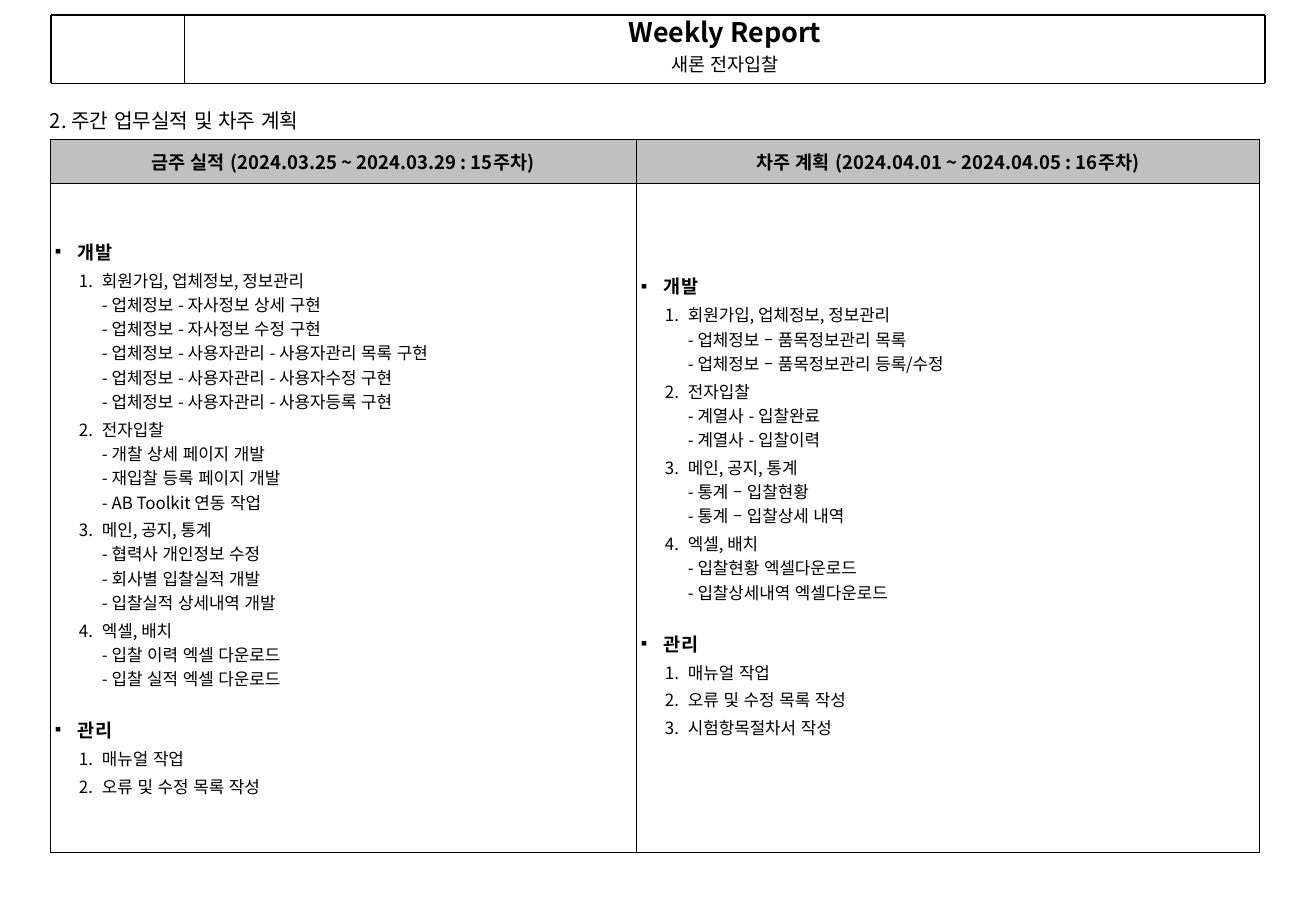
from copy import deepcopy
from lxml.etree import SubElement as Sub
from pptx import Presentation
from pptx.dml.color import RGBColor as Rgb
from pptx.enum.lang import MSO_LANGUAGE_ID as Lang
from pptx.enum.text import MSO_ANCHOR as Anchor, MSO_AUTO_SIZE as Auto, PP_ALIGN as Align
from pptx.oxml.ns import qn
from pptx.util import Emu, Inches, Pt

SCALE = 914400 / 121.4
FONT = "Noto Sans CJK KR"
COLORS = {"ink": "000000", "head": "C0C0C0", "paper": "FFFFFF"}

HEADS = [
    "금주 실적 (2024.03.25 ~ 2024.03.29 : 15주차)",
    "차주 계획 (2024.04.01 ~ 2024.04.05 : 16주차)",
]
DONE = {
    "개발": [
        "회원가입, 업체정보, 정보관리\n- 업체정보 - 자사정보 상세 구현\n"
        "- 업체정보 - 자사정보 수정 구현\n"
        "- 업체정보 - 사용자관리 - 사용자관리 목록 구현\n"
        "- 업체정보 - 사용자관리 - 사용자수정 구현\n"
        "- 업체정보 - 사용자관리 - 사용자등록 구현",
        "전자입찰\n- 개찰 상세 페이지 개발\n- 재입찰 등록 페이지 개발\n"
        "- AB Toolkit 연동 작업",
        "메인, 공지, 통계\n- 협력사 개인정보 수정\n- 회사별 입찰실적 개발\n"
        "- 입찰실적 상세내역 개발",
        "엑셀, 배치\n- 입찰 이력 엑셀 다운로드\n- 입찰 실적 엑셀 다운로드",
    ],
    "관리": ["매뉴얼 작업", "오류 및 수정 목록 작성"],
}
PLAN = {
    "개발": [
        "회원가입, 업체정보, 정보관리\n- 업체정보 – 품목정보관리 목록\n"
        "- 업체정보 – 품목정보관리 등록/수정",
        "전자입찰\n- 계열사 - 입찰완료\n- 계열사 - 입찰이력",
        "메인, 공지, 통계\n- 통계 – 입찰현황\n- 통계 – 입찰상세 내역",
        "엑셀, 배치\n- 입찰현황 엑셀다운로드\n- 입찰상세내역 엑셀다운로드",
    ],
    "관리": ["매뉴얼 작업", "오류 및 수정 목록 작성", "시험항목절차서 작성"],
}


def px(n):
    return Emu(round(n * SCALE))


def tint(name):
    return Rgb.from_string(COLORS[name])


def write(frame, text, first=False, size=10, bold=False, align=Align.LEFT,
          before=0, after=0, level=0, mark=None):
    para = frame.paragraphs[0] if first else frame.add_paragraph()
    para.text = text
    para.alignment = align
    para.level = level
    para.line_spacing = 1.0
    para.space_before, para.space_after = Pt(before), Pt(after)
    for run in para.runs:
        font = run.font
        font.size, font.bold, font.name = Pt(size), bold, FONT
        font.language_id = Lang.KOREAN
        font.color.rgb = tint("ink")
        Sub(font._element, qn("a:ea"), typeface=FONT)
    for gap in para._p.findall(qn("a:br")):
        gap.insert(0, deepcopy(para.runs[0].font._element))
    if mark:
        bullet(para, mark)


def bullet(para, mark):
    props = para._p.get_or_add_pPr()
    props.set("marL", str(px(23 if para.level == 0 else 47)))
    props.set("indent", str(-px(23)))
    color = Sub(props, qn("a:buClr"))
    Sub(color, qn("a:srgbClr"), val=COLORS["ink"])
    if mark == "number":
        Sub(props, qn("a:buFont"), typeface=FONT)
        Sub(props, qn("a:buAutoNum"), type="arabicPeriod")
    else:
        Sub(props, qn("a:buFont"), typeface="Arial")
        Sub(props, qn("a:buChar"), char=mark)


def place(shape, x, y, w, h):
    shape.left, shape.top, shape.width, shape.height = map(px, (x, y, w, h))
    frame = shape.text_frame
    frame.word_wrap = True
    frame.auto_size = Auto.NONE
    frame.vertical_anchor = Anchor.TOP
    return frame


def rule(slide, x1, y1, x2, y2, width):
    line = slide.shapes.add_connector(1, px(x1), px(y1), px(x2), px(y2))
    line.line.color.rgb = tint("ink")
    line.line.width = Pt(width)
    Sub(line._element.spPr, qn("a:effectLst"))


def banner(slide):
    frame = place(slide.shapes.title, 185, 16, 1080, 68)
    frame.margin_top = frame.margin_bottom = 0
    write(frame, "Weekly Report", first=True, size=16, bold=True, align=Align.CENTER)
    write(frame, "새론 전자입찰", size=11, align=Align.CENTER, before=2.8)
    left, right, top, base = 51, 1265, 15, 83
    for x, width in ((184, 0.26), (left, 1.5), (right, 1.5)):
        rule(slide, x, top, x, base, width)
    for y, width in ((top, 1.5), (base, 0.26)):
        rule(slide, left, y, right, y, width)


def border(cell, sides):
    props = cell._tc.get_or_add_tcPr()
    for spot, (side, width) in enumerate(sides.items()):
        edge = props.makeelement(qn("a:ln" + side), {"w": str(Pt(width))})
        fill = Sub(edge, qn("a:solidFill"))
        Sub(fill, qn("a:srgbClr"), val=COLORS["ink"])
        props.insert(spot, edge)


def style(cell, fill, side, foot=6):
    cell.fill.solid()
    cell.fill.fore_color.rgb = tint(fill)
    cell.vertical_anchor = Anchor.MIDDLE
    cell.margin_left = cell.margin_right = px(side)
    cell.margin_top, cell.margin_bottom = px(6), px(foot)


def tasks(cell, groups):
    frame = cell.text_frame
    for spot, (name, items) in enumerate(groups.items()):
        write(frame, name, first=spot == 0, size=11, bold=True,
              before=14 if spot else 1, after=1, mark="▪")
        for item in items:
            write(frame, item, before=1, after=1, level=1, mark="number")


def report(slide):
    widths, heights = (586, 624), (44, 669)
    grid = slide.shapes.add_table(2, 2, px(50), px(139), px(sum(widths)),
                                  px(sum(heights))).table
    grid.first_row = grid.horz_banding = False
    for row, high in zip(grid.rows, heights):
        row.height = px(high)
    for col, (wide, head, groups, foot) in enumerate(
            zip(widths, HEADS, (DONE, PLAN), (6, 30))):
        grid.columns[col].width = px(wide)
        top, body = grid.cell(0, col), grid.cell(1, col)
        style(top, "head", 2)
        style(body, "paper", 5, foot)
        edge = 0.74 if col else 0.45
        border(top, {"L": 0.45, "R": edge, "T": 0.74, "B": 0.45})
        border(body, {"L": 0.45, "R": edge, "T": 0.45, "B": 0.45})
        write(top.text_frame, head, first=True, size=11, bold=True, align=Align.CENTER)
        tasks(body, groups)


def main():
    deck = Presentation()
    deck.slide_width, deck.slide_height = Inches(10.84), Inches(7.5)
    slide = deck.slides.add_slide(deck.slide_layouts[5])
    banner(slide)
    label = place(slide.shapes.add_textbox(0, 0, 0, 0), 38, 102, 373, 36)
    write(label, "2. 주간 업무실적 및 차주 계획", first=True, size=12)
    report(slide)
    deck.save("out.pptx")


main()
